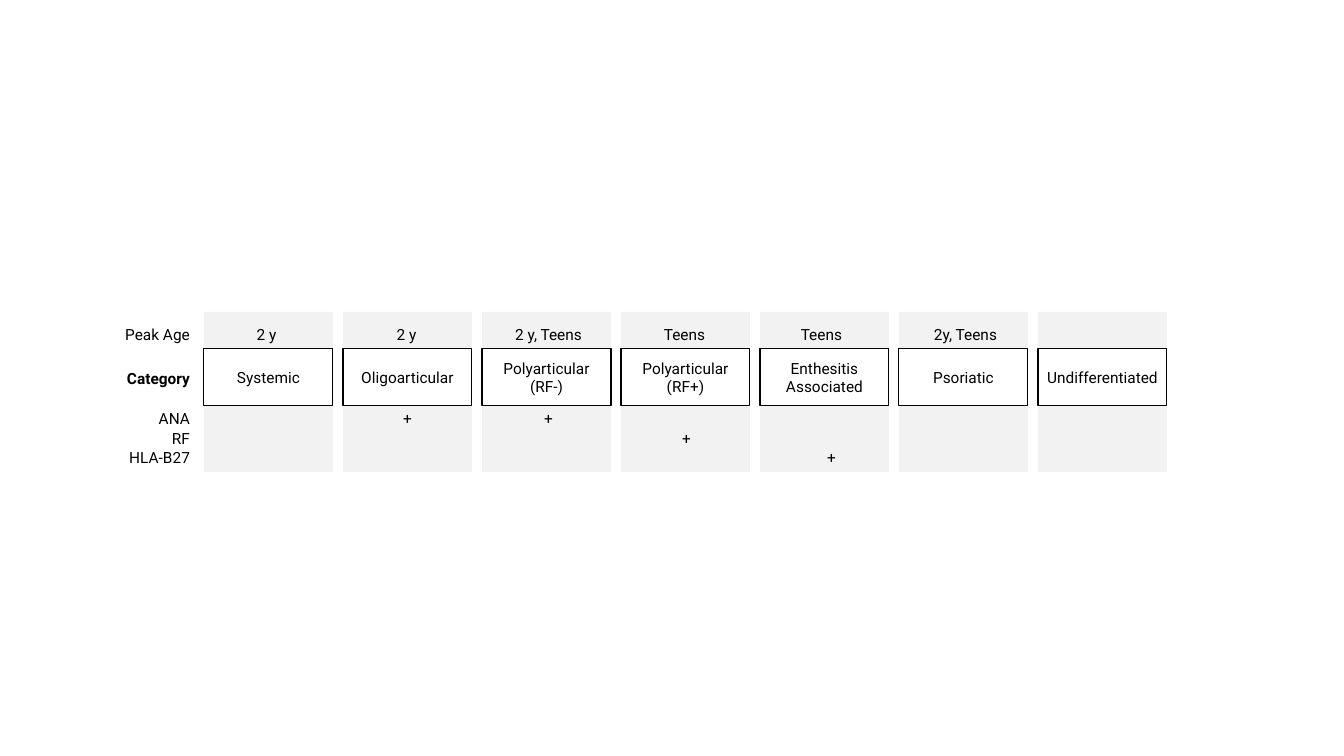
from collections import namedtuple

from pptx import Presentation
from pptx import util as u
from pptx.dml.color import RGBColor
from pptx.enum import shapes, text

BLACK = RGBColor(0, 0, 0)
WHITE = RGBColor(255, 255, 255)
BAND_GRAY = RGBColor(0xF2, 0xF2, 0xF2)
FONT = "Roboto"
PIXELS_PER_INCH = 100.8

CHART_BOX = (88, 312, 1080, 160)
LABEL_WIDTH = 112
COLUMN_LEFT, COLUMN_PITCH, COLUMN_WIDTH = 116, 139, 129
CATEGORY_TOP, CATEGORY_HEIGHT = 37, 57
TEXT_HEIGHT = 29
ROW_TOPS = {"Peak Age": 8, "Category": 52, "ANA": 92, "RF": 112, "HLA-B27": 131}

# Shifts move a text sideways from the centre of its column.
Column = namedtuple("Column", "category age age_shift marker mark_shift",
                    defaults=("", 0, "", 0))
COLUMNS = [
    Column("Systemic", "2 y", -2),
    Column("Oligoarticular", "2 y", -1, "ANA"),
    Column("Polyarticular\n(RF-)", "2 y, Teens", 2, "ANA", 2),
    Column("Polyarticular\n(RF+)", "Teens", -1, "RF", 1),
    Column("Enthesitis\nAssociated", "Teens", -3, "HLA-B27", 7),
    Column("Psoriatic", "2y, Teens", 2),
    Column("Undifferentiated"),
]


def px(pixels):
    """Turn pixels into EMU."""
    return u.Emu(round(pixels * 914400 / PIXELS_PER_INCH))


def write(shape, words, align, bold=False):
    """Put black, vertically centred text into a shape."""
    frame = shape.text_frame
    frame.text = words
    frame.word_wrap = True
    frame.vertical_anchor = text.MSO_ANCHOR.MIDDLE
    for paragraph in frame.paragraphs:
        paragraph.alignment = align
        for run in paragraph.runs:
            run.font.name = FONT
            run.font.size = u.Pt(11)
            run.font.bold = bold
            run.font.color.rgb = BLACK


def add_text(slide, box, words, align=text.PP_ALIGN.CENTER, bold=False):
    """Add a text box."""
    write(slide.shapes.add_textbox(*map(px, box)), words, align, bold)


def add_rectangle(slide, box, fill, line=None):
    """Add a flat rectangle, outlined only when a line colour is given."""
    shape = slide.shapes.add_shape(shapes.MSO_SHAPE.RECTANGLE, *map(px, box))
    shape.shadow.inherit = False
    shape.fill.solid()
    shape.fill.fore_color.rgb = fill
    if line is None:
        shape.line.fill.background()
    else:
        shape.line.color.rgb = line
        shape.line.width = u.Pt(0.75)
    return shape


def add_row_labels(slide, box):
    """Write the row names, right-aligned, down the left side of the box."""
    left, top, width, _ = box
    for label, row_top in ROW_TOPS.items():
        add_text(slide, (left, top + row_top, width, TEXT_HEIGHT), label,
                 text.PP_ALIGN.RIGHT, bold=label == "Category")


def add_column(slide, box, column):
    """Draw one category: gray band, outlined name, peak age and marker."""
    left, top, width, _ = box
    add_rectangle(slide, box, BAND_GRAY)
    category = add_rectangle(
        slide, (left, top + CATEGORY_TOP, width, CATEGORY_HEIGHT), WHITE, BLACK)
    category.text_frame.margin_left = category.text_frame.margin_right = 0
    write(category, column.category, text.PP_ALIGN.CENTER)
    if column.age:
        add_text(slide, (left + column.age_shift, top + ROW_TOPS["Peak Age"],
                         width, TEXT_HEIGHT), column.age)
    if column.marker:
        add_text(slide, (left + column.mark_shift, top + ROW_TOPS[column.marker],
                         width, TEXT_HEIGHT), "+")


def add_category_chart(slide, box):
    """Lay out the row labels and the evenly spaced category columns."""
    left, top, _, height = box
    add_row_labels(slide, (left, top, LABEL_WIDTH, height))
    for index, column in enumerate(COLUMNS):
        column_left = left + COLUMN_LEFT + index * COLUMN_PITCH
        add_column(slide, (column_left, top, COLUMN_WIDTH, height), column)


def main():
    """Build and save the presentation."""
    presentation = Presentation()
    presentation.slide_width = px(1344)
    presentation.slide_height = px(756)
    slide = presentation.slides.add_slide(presentation.slide_layouts[6])
    add_category_chart(slide, CHART_BOX)
    presentation.save("out.pptx")


main()
